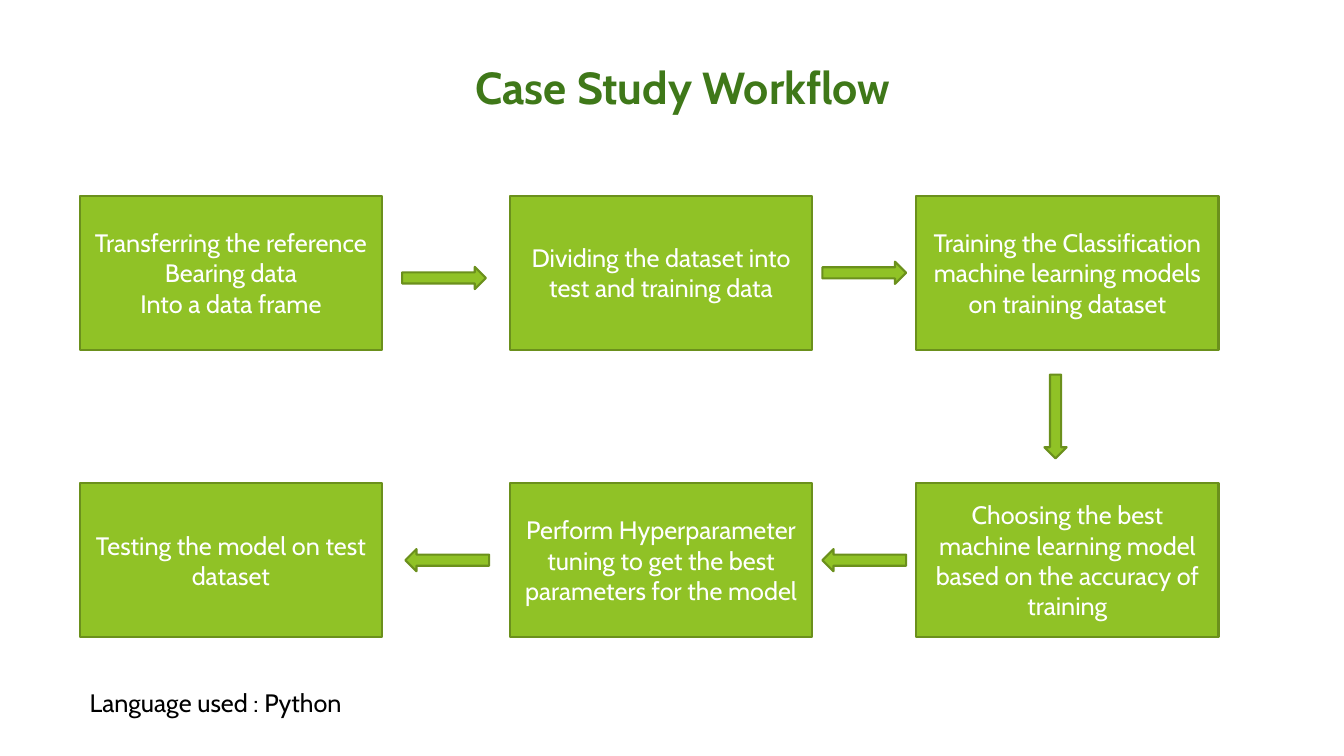
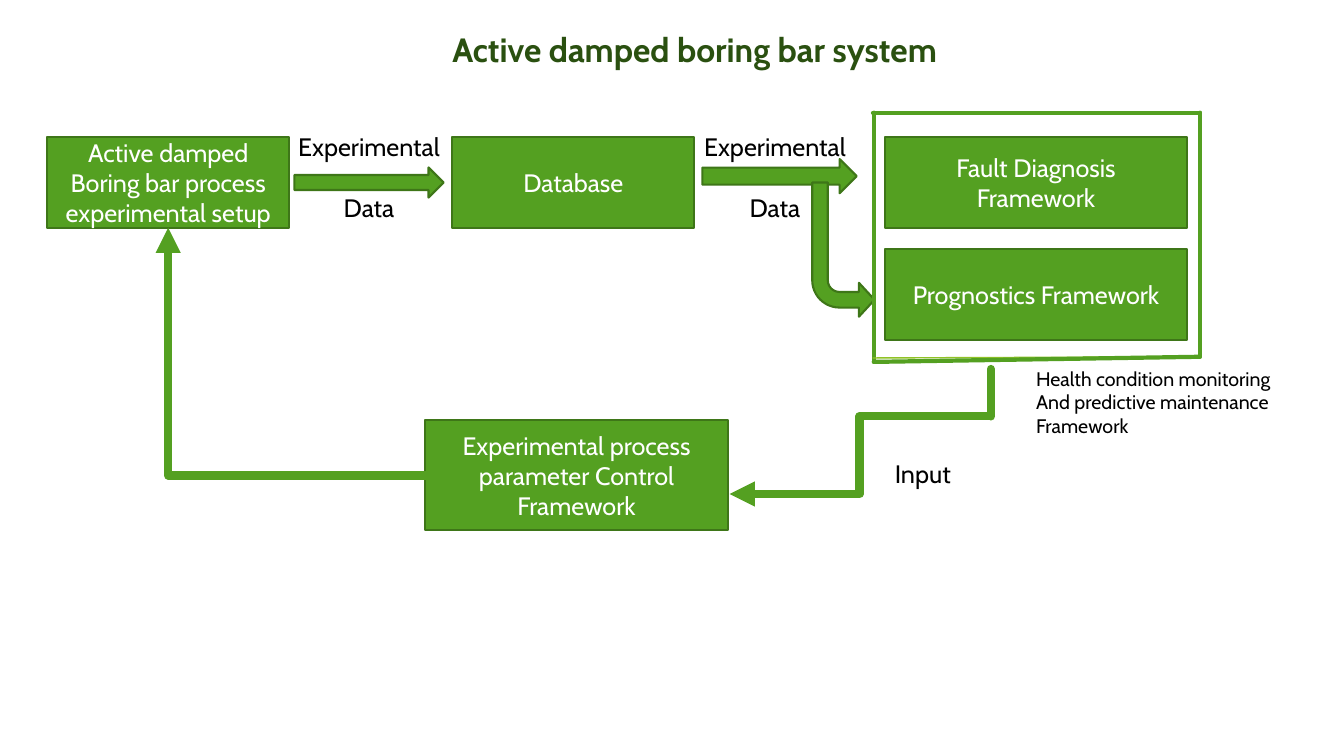
from lxml.etree import SubElement
from pptx import Presentation
from pptx.dml.color import RGBColor
from pptx.enum.shapes import MSO_CONNECTOR as Connector, MSO_SHAPE as Shape
from pptx.enum.text import MSO_ANCHOR as Anchor, PP_ALIGN as Align
from pptx.oxml.ns import qn
from pptx.util import Cm, Pt

FONT = "Cabin"
WHITE = RGBColor(0xFF, 0xFF, 0xFF)
BLACK = RGBColor(0x00, 0x00, 0x00)
LIME = RGBColor(0x90, 0xC2, 0x26)
LIME_EDGE = RGBColor(0x6B, 0x90, 0x1C)
GREEN = RGBColor(0x54, 0xA0, 0x21)
GREEN_EDGE = RGBColor(0x3E, 0x76, 0x18)
TITLE_GREEN = RGBColor(0x3F, 0x78, 0x19)
TITLE_DARK = RGBColor(0x2A, 0x50, 0x10)
LIME_STYLE = (LIME, LIME_EDGE)
GREEN_STYLE = (GREEN, GREEN_EDGE)

# Workflow content: text, column, row, in order of the steps
STEPS = [
    ("Transferring the reference Bearing data\nInto a data frame", 0, 0),
    ("Dividing the dataset into test and training data", 1, 0),
    ("Training the Classification machine learning models on training dataset", 2, 0),
    ("Choosing the best machine learning model based on the accuracy of training", 2, 1),
    ("Perform Hyperparameter tuning to get the best parameters for the model", 1, 1),
    ("Testing the model on test dataset", 0, 1),
]
COLUMNS = (2.01, 12.85, 23.09)
ROWS = (4.93, 12.17)
STEP_SIZE = (7.62, 3.89)
ARROW_SIZE = (2.11, 0.56)
# Offset of each arrow from the midpoint between its two steps
ARROW_SHIFTS = [(-0.05, 0.13), (0, 0), (-0.3, 0), (0, 0), (0.03, 0)]

# System content: text, (left, top, width, height)
SYSTEM_BOXES = [
    ("Active damped Boring bar process experimental setup", (1.19, 3.45, 6.1, 2.29)),
    ("Database", (11.4, 3.45, 6.1, 2.29)),
    ("Fault Diagnosis Framework", (22.3, 3.45, 7.62, 2.29)),
    ("Prognostics Framework", (22.3, 6.27, 7.62, 2.29)),
    ("Experimental process parameter Control Framework", (10.72, 10.59, 7.62, 2.77)),
]
DATA_LABEL = "Experimental\nData"
DATA_LABEL_LEFTS = (7.19, 17.42)
DATA_ARROWS = [(7.42, 4.22, 3.76, 0.76), (17.7, 4.01, 3.89, 0.86)]
BRANCH_ARROW = (20.47, 4.6, 1.57, 3.38)
BRANCH_ADJUSTMENTS = (0.25, 0.272, 0.25, 0.438)
# Begin x, begin y, end x, end y, colour, points
FRAME_LINES = [
    (22.02, 2.84, 22.02, 9.12, GREEN, 3),
    (30.25, 2.84, 30.25, 8.99, GREEN, 3),
    (22, 2.84, 30.23, 2.84, GREEN, 3),
    (22, 9.02, 30.23, 8.99, LIME, 1),
    (22.02, 9.12, 30.23, 8.99, GREEN, 3),
]
INPUT_STUB = (24.97, 10.49, 24.97, 9.3, GREEN, 6)
INPUT_FLOW = (24.94, 10.49, 18.39, 12.45, GREEN, 6)
FEEDBACK_FLOW = (10.72, 11.98, 4.24, 5.74, GREEN, 6)


def write(shape, text, size, color, align, bold=False, gap=0):
    frame = shape.text_frame
    frame.word_wrap = True
    frame.text = text
    for index, paragraph in enumerate(frame.paragraphs):
        paragraph.alignment = align
        if index and gap:
            paragraph.space_before = Pt(gap)
        for run in paragraph.runs:
            run.font.name = FONT
            run.font.size = Pt(size)
            run.font.bold = bold
            run.font.color.rgb = color


def add_text(slide, text, place, size=18, color=BLACK, align=Align.LEFT, **options):
    box = slide.shapes.add_textbox(*map(Cm, place))
    write(box, text, size, color, align, **options)


def add_title(slide, text, place, size, color, align):
    add_text(slide, text, place, size, color, align, bold=True)


def add_block(slide, kind, place, style, text="", rotation=0):
    shape = slide.shapes.add_shape(kind, *map(Cm, place))
    fill, edge = style
    shape.shadow.inherit = False
    shape.fill.solid()
    shape.fill.fore_color.rgb = fill
    shape.line.color.rgb = edge
    shape.line.width = Pt(1.5)
    shape.rotation = rotation
    if text:
        shape.text_frame.vertical_anchor = Anchor.MIDDLE
        write(shape, text, 18, WHITE, Align.CENTER)
    return shape


def add_line(slide, line, kind=Connector.STRAIGHT, arrow=False):
    *points, color, width = line
    connector = slide.shapes.add_connector(kind, *map(Cm, points))
    connector.line.color.rgb = color
    connector.line.width = Pt(width)
    properties = connector._element.spPr
    outline = properties.find(qn("a:ln"))
    outline.set("cap", "rnd")
    SubElement(outline, qn("a:round"))
    if arrow:
        SubElement(outline, qn("a:tailEnd"), type="triangle")
    SubElement(properties, qn("a:effectLst"))
    return connector


def build_workflow(slide):
    add_title(slide, "Case Study Workflow", (11.73, 1.37, 11.68, 1.63),
              32, TITLE_GREEN, Align.LEFT)

    # Steps
    for text, column, row in STEPS:
        place = (COLUMNS[column], ROWS[row], *STEP_SIZE)
        add_block(slide, Shape.RECTANGLE, place, LIME_STYLE, text)

    # Arrows, halfway between one step and the next
    width, height = ARROW_SIZE
    for start, end, (shift_x, shift_y) in zip(STEPS, STEPS[1:], ARROW_SHIFTS):
        (_, column, row), (_, next_column, next_row) = start, end
        center_x = (COLUMNS[column] + COLUMNS[next_column] + STEP_SIZE[0]) / 2 + shift_x
        center_y = (ROWS[row] + ROWS[next_row] + STEP_SIZE[1]) / 2 + shift_y
        rotation = 90 if next_row > row else 0 if next_column > column else 180
        place = (center_x - width / 2, center_y - height / 2, width, height)
        add_block(slide, Shape.RIGHT_ARROW, place, LIME_STYLE, rotation=rotation)

    add_text(slide, "Language used : Python", (2.01, 17.2, 7.7, 1.02))


def build_system(slide):
    add_title(slide, "Active damped boring bar system", (7.8, 0.61, 19.41, 1.27),
              24, TITLE_DARK, Align.CENTER)

    # Boxes
    for text, place in SYSTEM_BOXES:
        add_block(slide, Shape.RECTANGLE, place, GREEN_STYLE, text)

    # Data flow, with words above and below the arrows
    for left in DATA_LABEL_LEFTS:
        add_text(slide, DATA_LABEL, (left, 3.18, 4.22, 2.57), align=Align.CENTER, gap=22)
    for place in DATA_ARROWS:
        add_block(slide, Shape.RIGHT_ARROW, place, GREEN_STYLE)
    branch = add_block(slide, Shape.BENT_ARROW, BRANCH_ARROW, GREEN_STYLE, rotation=180)
    for index, value in enumerate(BRANCH_ADJUSTMENTS):
        branch.adjustments[index] = value
    branch._element.spPr.find(qn("a:xfrm")).set("flipH", "1")

    # Input and feedback
    add_line(slide, INPUT_FLOW, Connector.ELBOW, arrow=True)
    add_line(slide, INPUT_STUB)
    feedback = add_line(slide, FEEDBACK_FLOW, Connector.ELBOW, arrow=True)
    feedback._element.spPr.find(qn("a:prstGeom")).set("prst", "bentConnector2")
    add_text(slide, "Input", (22.3, 11.43, 2.01, 1.02))

    # Frame around the monitoring part
    for line in FRAME_LINES:
        add_line(slide, line)
    add_text(slide, "Health condition monitoring\nAnd predictive maintenance Framework",
             (25.86, 9.12, 7.47, 2.06), size=14)


def main():
    presentation = Presentation()
    presentation.slide_width = Cm(33.87)
    presentation.slide_height = Cm(19.05)
    blank = presentation.slide_layouts[6]
    for build in (build_workflow, build_system):
        build(presentation.slides.add_slide(blank))
    presentation.save("out.pptx")


if __name__ == "__main__":
    main()
